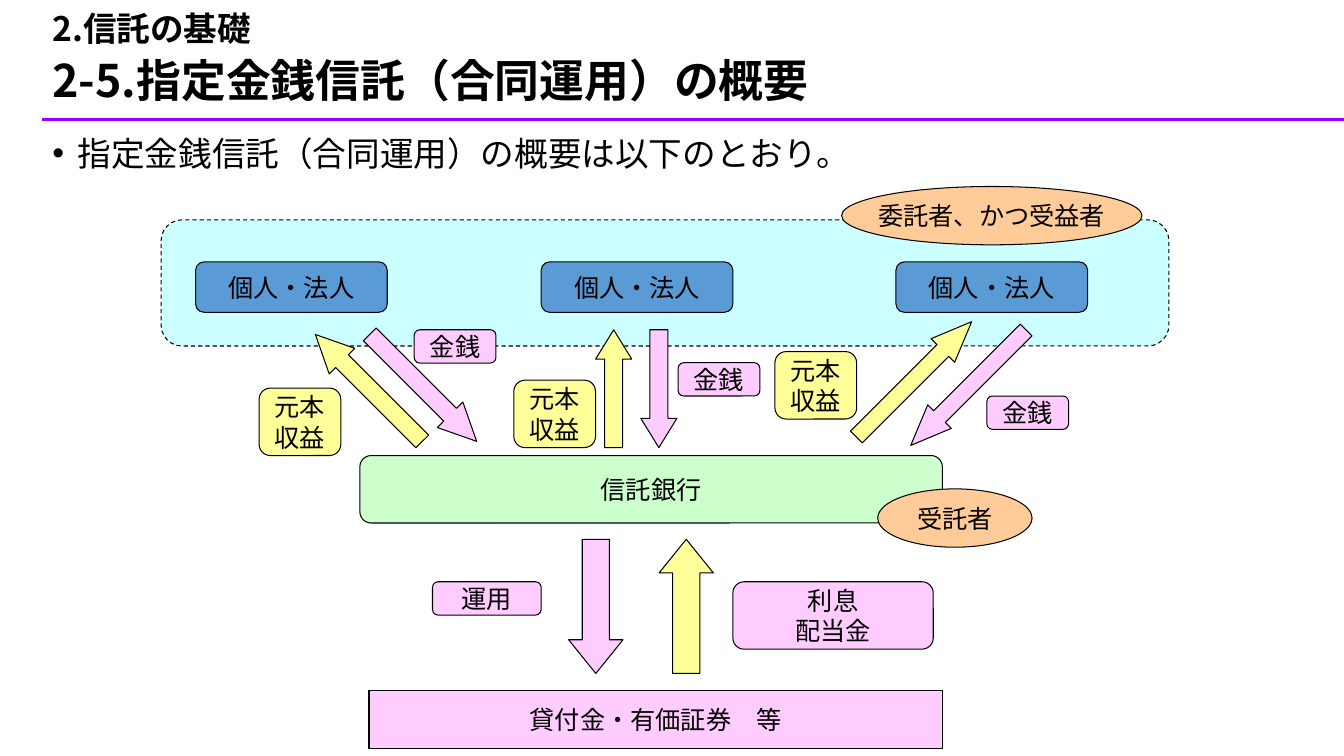
from dataclasses import dataclass

from pptx import Presentation
from pptx.dml.color import RGBColor
from pptx.enum.dml import MSO_LINE
from pptx.enum.shapes import MSO_CONNECTOR, MSO_SHAPE
from pptx.enum.text import MSO_ANCHOR, PP_ALIGN
from pptx.oxml.ns import qn
from pptx.util import Cm, Pt
from lxml import etree

ROUND, RECT, OVAL = MSO_SHAPE.ROUNDED_RECTANGLE, MSO_SHAPE.RECTANGLE, MSO_SHAPE.OVAL
RIGHT, DOWN, UP = MSO_SHAPE.RIGHT_ARROW, MSO_SHAPE.DOWN_ARROW, MSO_SHAPE.UP_ARROW
STRAIGHT, DASH = MSO_CONNECTOR.STRAIGHT, MSO_LINE.DASH
TOP, MIDDLE = MSO_ANCHOR.TOP, MSO_ANCHOR.MIDDLE
LEFT, CENTER = PP_ALIGN.LEFT, PP_ALIGN.CENTER

FONT = "Noto Sans CJK JP"
COLORS = {
    "ink": "000000", "rule": "9900FF", "group": "CCFFFF", "party": "5B9BD5",
    "bank": "CCFFCC", "outflow": "FFCCFF", "inflow": "FFFF99", "role": "FFCC99",
}


@dataclass
class Heading:
    text: str
    top: float
    width: float
    height: float
    size: int
    bold: bool = True
    bullet: bool = False
    anchor: MSO_ANCHOR = TOP
    spacing: float = 1.0


@dataclass
class Node:
    """A filled outline; lengths in centimetres."""
    color: str
    left: float
    top: float
    width: float
    height: float
    text: str = ""
    kind: MSO_SHAPE = ROUND
    dashed: bool = False


@dataclass
class Arrow:
    kind: MSO_SHAPE
    color: str
    left: float
    top: float
    width: float
    height: float
    head: float
    turn: float = 0


def rgb(name: str) -> RGBColor:
    return RGBColor.from_string(COLORS[name])


def write(frame, text: str, size: int, bold: bool = False, align=LEFT,
          spacing: float = 1.0, bullet: bool = False) -> None:
    for index, line in enumerate(text.split("\n")):
        paragraph = frame.paragraphs[0] if index == 0 else frame.add_paragraph()
        paragraph.alignment, paragraph.line_spacing = align, spacing
        if bullet:
            props = paragraph._p.get_or_add_pPr()
            props.set("marL", str(Cm(0.64)))
            props.set("indent", str(-Cm(0.64)))
            etree.SubElement(props, qn("a:buFont")).set("typeface", "Arial")
            etree.SubElement(props, qn("a:buChar")).set("char", "•")
        run = paragraph.add_run()
        run.text = line
        for name, value in {"name": FONT, "size": Pt(size), "bold": bold}.items():
            setattr(run.font, name, value)
        run.font.color.rgb = rgb("ink")
        run_props = run._r.get_or_add_rPr()
        run_props.set("lang", "ja-JP")
        etree.SubElement(run_props, qn("a:ea")).set("typeface", FONT)


def add_heading(slide, heading: Heading) -> None:
    box = slide.shapes.add_textbox(Cm(1.07), Cm(heading.top),
                                   Cm(heading.width), Cm(heading.height))
    frame = box.text_frame
    frame.word_wrap, frame.vertical_anchor = True, heading.anchor
    write(frame, heading.text, heading.size, heading.bold,
          spacing=heading.spacing, bullet=heading.bullet)


def add_outline(slide, item: Node | Arrow):
    shape = slide.shapes.add_shape(item.kind, Cm(item.left), Cm(item.top),
                                   Cm(item.width), Cm(item.height))
    shape.shadow.inherit = False
    shape.fill.solid()
    shape.fill.fore_color.rgb = rgb(item.color)
    shape.line.color.rgb = rgb("ink")
    shape.line.width = Pt(0.75)
    return shape


def add_node(slide, node: Node) -> None:
    shape = add_outline(slide, node)
    if node.dashed:
        shape.line.dash_style = DASH
    if node.text:
        frame = shape.text_frame
        frame.word_wrap, frame.vertical_anchor = False, MIDDLE
        write(frame, node.text, 18, align=CENTER)


def add_arrow(slide, arrow: Arrow) -> None:
    shape = add_outline(slide, arrow)
    shape.adjustments[0], shape.adjustments[1] = 0.5, arrow.head
    shape.rotation = arrow.turn


def add_rule(slide) -> None:
    rule = slide.shapes.add_connector(STRAIGHT, Cm(1.07), Cm(3.02), Cm(33.87), Cm(3.02))
    rule.line.color.rgb = rgb("rule")
    rule.line.width = Pt(2)
    etree.SubElement(rule._element.spPr, qn("a:effectLst"))


HEADINGS = [
    Heading("2-5.指定金銭信託（合同運用）の概要", 1.32, 31.55, 1.52, 32,
            anchor=MIDDLE, spacing=0.9),
    Heading("指定金銭信託（合同運用）の概要は以下のとおり。", 3.23, 31.75, 1.47, 24,
            bold=False, bullet=True),
    Heading("2.信託の基礎", 0.08, 28.85, 1.14, 24),
]

# Settlors and the trust bank
PARTIES = [
    Node("group", 4.06, 5.54, 25.4, 3.18, dashed=True),
    *[Node("party", left, 6.6, 4.83, 1.27, "個人・法人") for left in (4.93, 13.64, 22.58)],
    Node("bank", 9.07, 11.48, 14.68, 1.7, "信託銀行"),
]

# Money flows
ARROWS = [
    Arrow(RIGHT, "outflow", 8.76, 9.32, 3.81, 0.91, 1.04, 45),
    Arrow(RIGHT, "inflow", 7.39, 9.32, 3.81, 0.91, 1.04, 225),
    Arrow(RIGHT, "outflow", 22.35, 9.35, 4.11, 0.84, 1.22, 135),
    Arrow(RIGHT, "inflow", 20.98, 9.14, 4.11, 0.84, 1.22, 315),
    Arrow(DOWN, "outflow", 16.15, 8.31, 0.91, 2.97, 0.81),
    Arrow(DOWN, "inflow", 15.01, 8.31, 0.91, 2.97, 0.81, 180),
    Arrow(UP, "inflow", 16.61, 13.59, 1.37, 3.38, 0.62),
    Arrow(UP, "outflow", 14.33, 13.59, 1.37, 3.38, 0.62, 180),
]

# Flow labels, invested assets and roles
LABELS = [
    *[Node("outflow", left, top, 2.06, 0.84, "金銭")
      for left, top in ((10.44, 8.31), (17.09, 9.14), (24.87, 9.98))],
    *[Node("inflow", left, top, 2.06, 1.7, "元本\n収益")
      for left, top in ((19.53, 8.86), (12.95, 9.58), (6.53, 9.78))],
    Node("outflow", 9.3, 17.4, 14.45, 1.47, "貸付金・有価証券　等", RECT),
    Node("outflow", 18.47, 14.66, 5.05, 1.7, "利息\n配当金"),
    Node("outflow", 10.9, 14.66, 2.74, 0.84, "運用"),
    Node("role", 22.12, 12.32, 3.89, 1.47, "受託者", OVAL),
    Node("role", 21.21, 4.7, 7.57, 1.47, "委託者、かつ受益者", OVAL),
]


def main() -> None:
    deck = Presentation()
    deck.slide_width, deck.slide_height = Cm(33.87), Cm(19.05)
    slide = deck.slides.add_slide(deck.slide_layouts[6])
    add_rule(slide)
    for heading in HEADINGS:
        add_heading(slide, heading)
    for party in PARTIES:
        add_node(slide, party)
    for arrow in ARROWS:
        add_arrow(slide, arrow)
    for label in LABELS:
        add_node(slide, label)
    deck.save("out.pptx")


if __name__ == "__main__":
    main()
